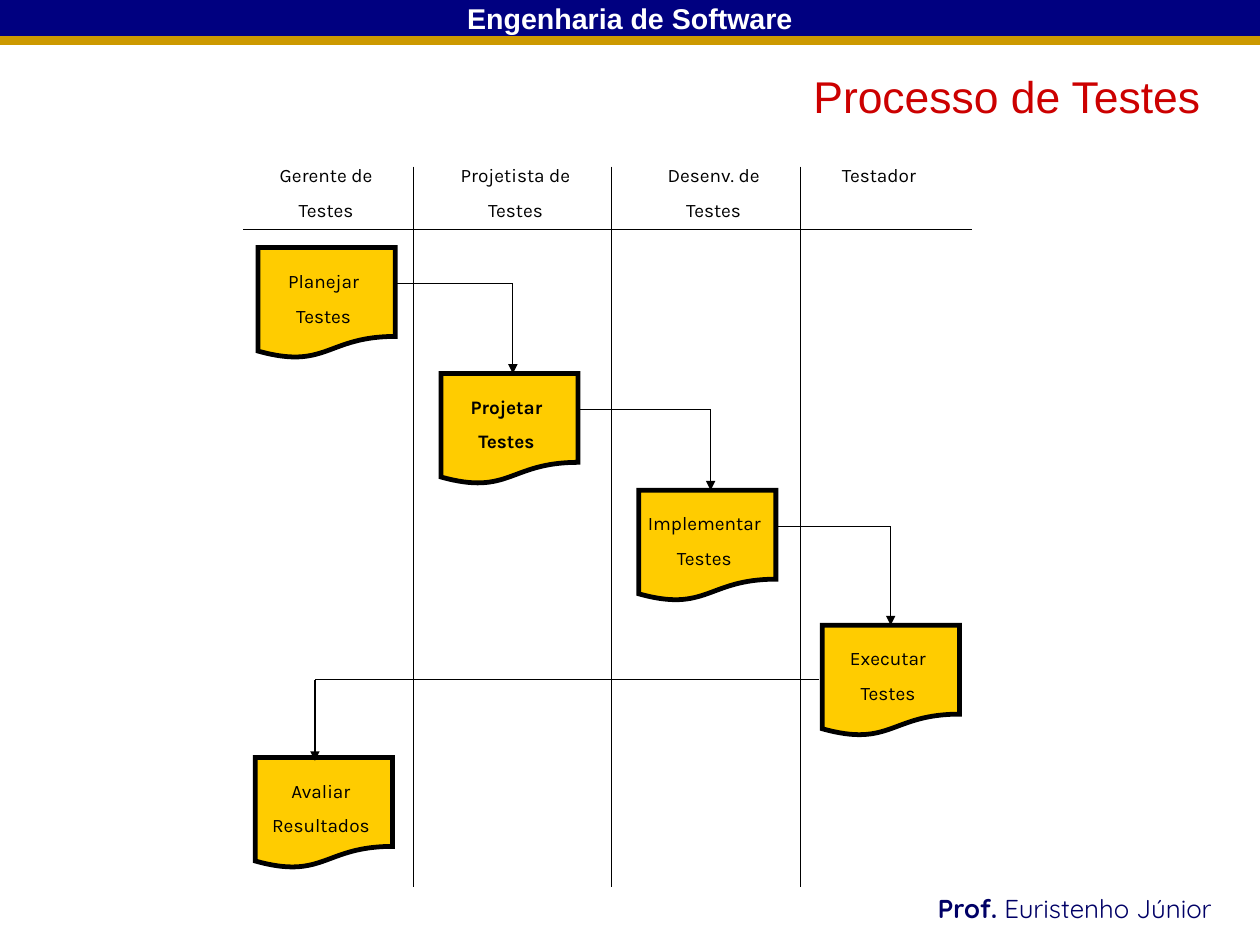
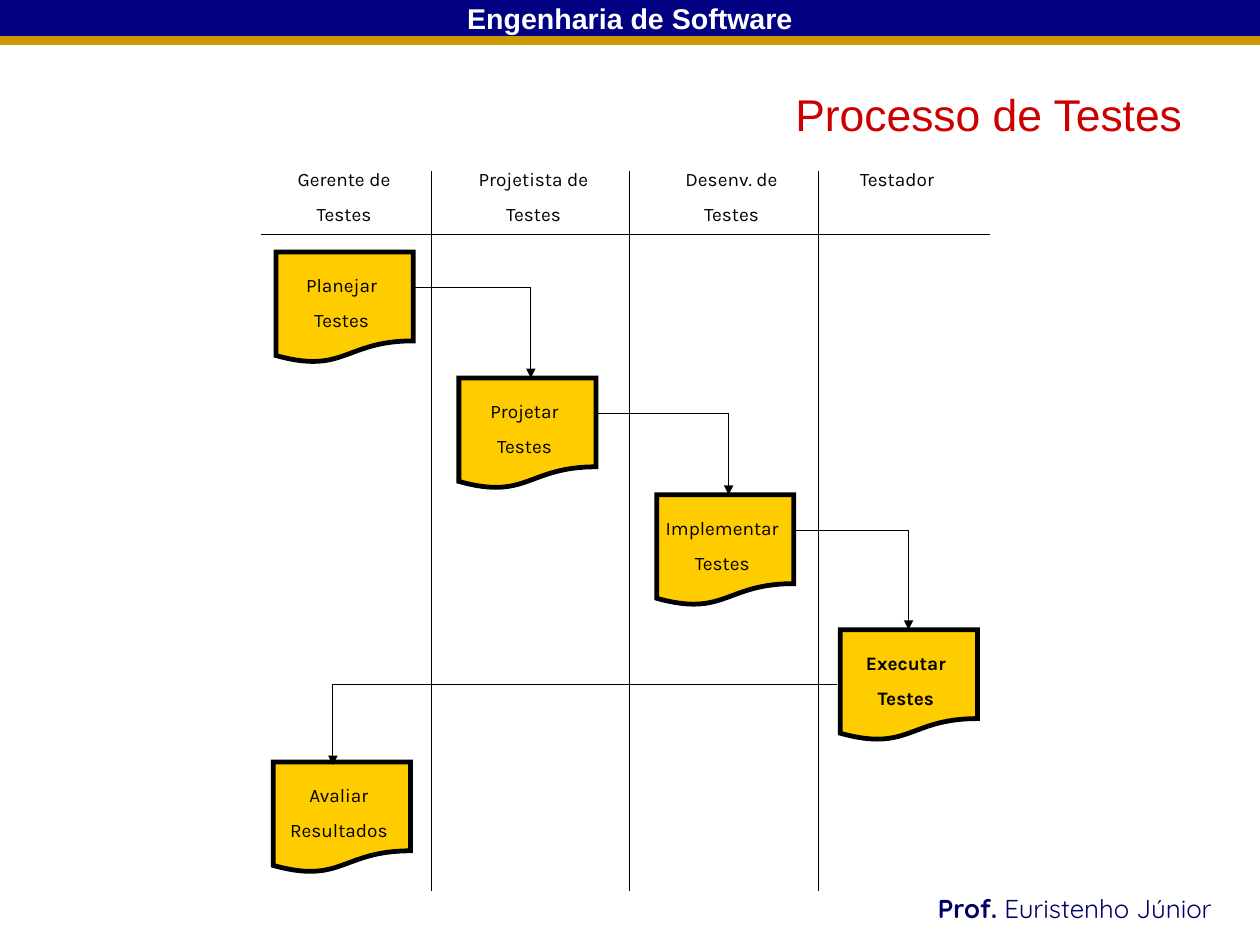
from lxml import etree
from pptx import Presentation
from pptx.dml.color import RGBColor
from pptx.enum.shapes import MSO_CONNECTOR, MSO_SHAPE
from pptx.enum.text import MSO_ANCHOR, PP_ALIGN
from pptx.oxml.ns import qn
from pptx.util import Pt

RECTANGLE = MSO_SHAPE.RECTANGLE
DOCUMENT = MSO_SHAPE.FLOWCHART_DOCUMENT
STRAIGHT = MSO_CONNECTOR.STRAIGHT
TOP, MIDDLE = MSO_ANCHOR.TOP, MSO_ANCHOR.MIDDLE
LEFT, CENTER = PP_ALIGN.LEFT, PP_ALIGN.CENTER

COLORS = {
    "band": "000080",
    "stripe": "CC9900",
    "title": "CC0000",
    "footer": "000066",
    "step": "FFCC00",
    "ink": "000000",
    "white": "FFFFFF",
}
PAGE_WIDTH, PAGE_HEIGHT = 793.75, 595.25
BAND_HEIGHT, STRIPE_HEIGHT = 22.6, 5.7

# Positions below are relative to the top left corner of the diagram.
DIAGRAM_WIDTH, DIAGRAM_HEIGHT = 459, 459.2
DIVIDER_TOP, HEADER_LINE = 5.6, 45.4
DIVIDERS = [107.5, 232, 351.2]
ROLES = [
    (5.1, ["Gerente de", "Testes"]),
    (124.4, ["Projetista de", "Testes"]),
    (249.2, ["Desenv. de", "Testes"]),
    (353.4, ["Testador"]),
]
ROLE_WIDTH, ROLE_HEIGHT = 94.3, 44
# Each step: left, top, lines, and how far from its left side the arrow lands.
STEPS = [
    (9.4, 56.7, ["Planejar", "Testes"], 0),
    (124.6, 136, ["Projetar", "Testes"], 45.3),
    (249.2, 209.6, ["Implementar", "Testes"], 45.3),
    (364.9, 294.6, ["Executar", "Testes"], 43),
    (7.7, 377.9, ["Avaliar", "Resultados"], 37.5),
]
STEP_WIDTH, STEP_HEIGHT = 86.4, 69.8

PAGES = [
    {"title_at": (505.4, 40), "diagram_at": (153.2, 99.3), "current": "Projetar"},
    {"title_at": (494, 51.3), "diagram_at": (164.5, 102.1), "current": "Executar"},
]


def color(name):
    return RGBColor.from_string(COLORS[name])


def style(font, name, size, ink, bold=False):
    font.name, font.size, font.bold = name, Pt(size), bold
    font.color.rgb = color(ink)


def write_lines(frame, lines, align, font, gap=0):
    """Fill a frame with one paragraph per line, gap points apart."""
    frame.word_wrap = True
    for index, line in enumerate(lines):
        para = frame.add_paragraph() if index else frame.paragraphs[0]
        para.text = line
        para.alignment = align
        if index:
            para.space_before = Pt(gap)
        style(para.font, *font)


def add_box(page, kind, left, top, width, height, fill, border=0):
    box = page.shapes.add_shape(kind, Pt(left), Pt(top), Pt(width), Pt(height))
    box.shadow.inherit = False
    box.fill.solid()
    box.fill.fore_color.rgb = color(fill)
    if border:
        box.line.color.rgb = color("ink")
        box.line.width = Pt(border)
        outline = box._element.spPr.find(qn("a:ln"))
        etree.SubElement(outline, qn("a:miter"), lim="800000")
    else:
        box.line.fill.background()
    return box


def add_text(page, left, top, width, height):
    box = page.shapes.add_textbox(Pt(left), Pt(top), Pt(width), Pt(height))
    box.text_frame.word_wrap = True
    return box.text_frame


def add_line(page, start, end, arrow=False):
    line = page.shapes.add_connector(STRAIGHT, *(Pt(value) for value in start + end))
    line.line.color.rgb = color("ink")
    line.line.width = Pt(0.75)
    properties = line._element.spPr
    if arrow:
        outline = properties.find(qn("a:ln"))
        etree.SubElement(outline, qn("a:tailEnd"), type="triangle")
    etree.SubElement(properties, qn("a:effectLst"))


def add_bent_arrow(page, start, end):
    """Run sideways from start, then down to end."""
    corner = (end[0], start[1])
    add_line(page, start, corner)
    add_line(page, corner, end, arrow=True)


def add_frame(page):
    """Draw the header bands and the footer."""
    add_box(page, RECTANGLE, 0, BAND_HEIGHT, PAGE_WIDTH, STRIPE_HEIGHT, "stripe")
    band = add_box(page, RECTANGLE, 0, 0, PAGE_WIDTH, BAND_HEIGHT, "band")
    band.text_frame.vertical_anchor = MIDDLE
    write_lines(band.text_frame, ["Engenharia de Software"], CENTER,
                ("Arial", 18, "white", True))

    para = add_text(page, 583.7, 558.6, 209.5, 29.5).paragraphs[0]
    for text, bold in (("Prof.", True), (" Euristenho Júnior", False)):
        span = para.add_run()
        span.text = text
        style(span.font, "Quicksand", 16.3, "footer", bold)


def add_title(page, left, top):
    frame = add_text(page, left, top, 276.5, 45.4)
    write_lines(frame, ["Processo de Testes"], LEFT, ("Arial", 28, "title"))


def add_step(page, left, top, lines, bold):
    step = add_box(page, DOCUMENT, left, top, STEP_WIDTH, STEP_HEIGHT, "step", 3)
    frame = step.text_frame
    frame.vertical_anchor = TOP
    frame.margin_left = frame.margin_bottom = 0
    frame.margin_right, frame.margin_top = Pt(3.8), Pt(13.6)
    write_lines(frame, lines, CENTER, ("Karla", 12, "ink", bold), 7.5)


def add_lanes(page, left, top):
    for x in DIVIDERS:
        add_line(page, (left + x, top + DIVIDER_TOP), (left + x, top + DIAGRAM_HEIGHT))
    add_line(page, (left, top + HEADER_LINE),
             (left + DIAGRAM_WIDTH, top + HEADER_LINE))
    for x, lines in ROLES:
        frame = add_text(page, left + x, top, ROLE_WIDTH, ROLE_HEIGHT)
        write_lines(frame, lines, CENTER, ("Karla", 12, "ink"), 7.5)


def add_diagram(page, left, top, current):
    """Draw the lanes, the steps and their arrows; the current step is bold."""
    for x, y, lines, _ in STEPS:
        add_step(page, left + x, top + y, lines, lines[0] == current)
    add_lanes(page, left, top)

    corners = [(left + x, top + y, landing) for x, y, _, landing in STEPS]
    for (x, y, _), (next_x, next_y, landing) in zip(corners, corners[1:]):
        if next_x > x:
            start, end_y = (x + STEP_WIDTH, y + 22.5), next_y
        else:
            start, end_y = (x - 2, y + 34.3), next_y + 2
        add_bent_arrow(page, start, (next_x + landing, end_y))


def main():
    deck = Presentation()
    deck.slide_width, deck.slide_height = Pt(PAGE_WIDTH), Pt(PAGE_HEIGHT)
    for plan in PAGES:
        page = deck.slides.add_slide(deck.slide_layouts[6])
        add_frame(page)
        add_title(page, *plan["title_at"])
        add_diagram(page, *plan["diagram_at"], plan["current"])
    deck.save("out.pptx")


if __name__ == "__main__":
    main()
